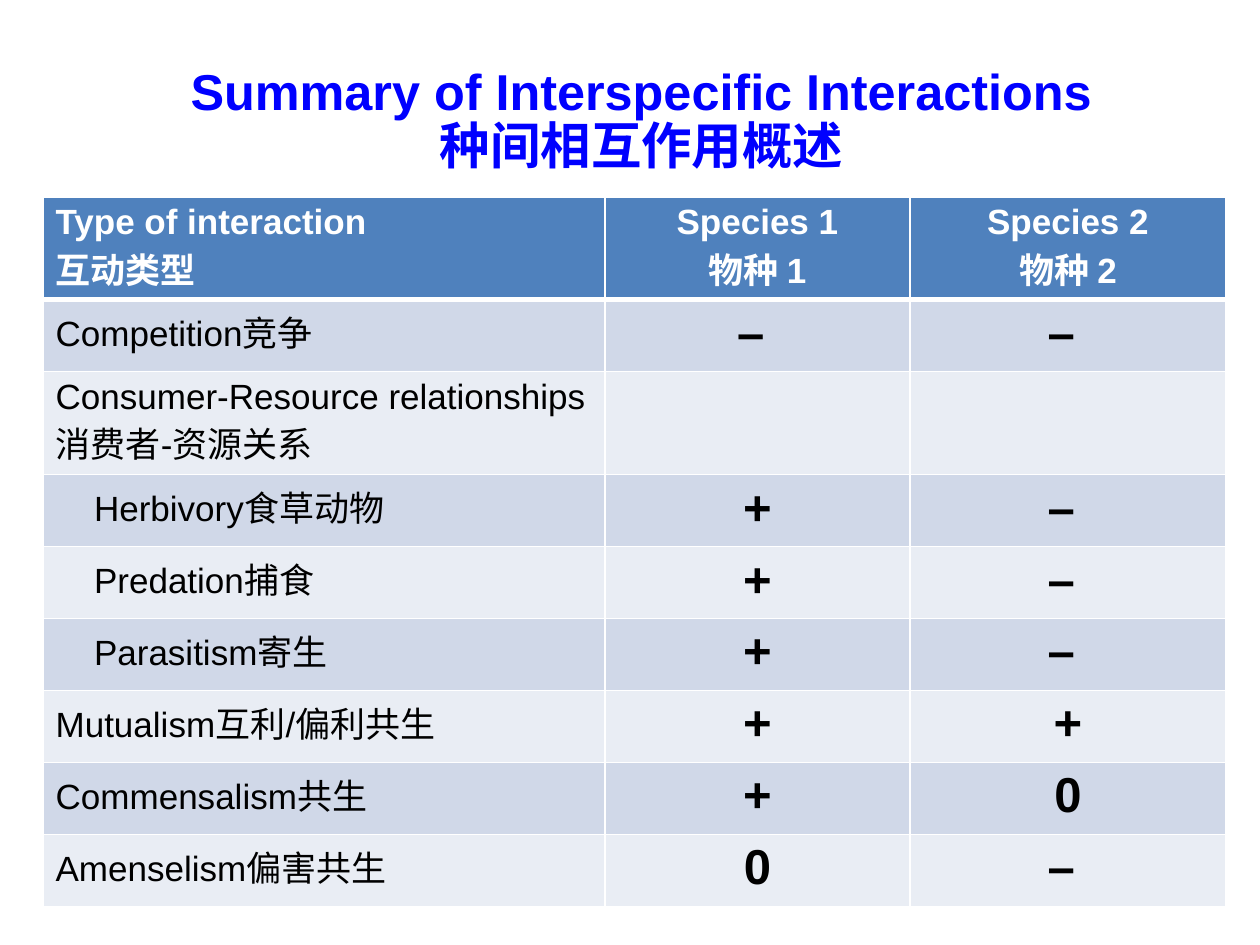
import pptx
import pptx.dml.color
import pptx.enum.text
import pptx.oxml
import pptx.oxml.ns
import pptx.util

PX = 914400 / 126
BLUE = pptx.dml.color.RGBColor(0x00, 0x00, 0xFF)
HEADER_FILL = pptx.dml.color.RGBColor(0x4F, 0x81, 0xBD)
BAND_FILLS = [pptx.dml.color.RGBColor(0xE9, 0xED, 0xF4),
              pptx.dml.color.RGBColor(0xD0, 0xD8, 0xE8)]
WHITE = pptx.dml.color.RGBColor(0xFF, 0xFF, 0xFF)
BLACK = pptx.dml.color.RGBColor(0x00, 0x00, 0x00)
CENTER = pptx.enum.text.PP_ALIGN.CENTER

# Each cell holds a list of lines
INTERACTIONS = [
    [["Type of interaction", "互动类型"], ["Species 1", "物种 1"], ["Species 2", "物种 2"]],
    [["Competition竞争"], ["– "], ["– "]],
    [["Consumer-Resource relationships", "消费者-资源关系"], [], []],
    [["Herbivory食草动物"], ["+"], ["– "]],
    [["Predation捕食"], ["+"], ["– "]],
    [["Parasitism寄生"], ["+"], ["– "]],
    [["Mutualism互利/偏利共生"], ["+"], ["+"]],
    [["Commensalism共生"], ["+"], ["0"]],
    [["Amenselism偏害共生"], ["0"], ["– "]],
]
SUBTYPE_ROWS = (3, 4, 5)
COLUMN_WIDTHS = [562, 305, 316]
ROW_HEIGHTS = [97, 72, 103] + [72] * 6


def px(length):
    return pptx.util.Emu(round(length * PX))


def add_borders(cell, top, bottom):
    """White cell borders, 1 pt at the sides; top and bottom in points."""
    properties = cell._tc.get_or_add_tcPr()
    for index, (side, points) in enumerate(
            [("L", 1), ("R", 1), ("T", top), ("B", bottom)]):
        properties.insert(index, pptx.oxml.parse_xml(
            f'<a:ln{side} {pptx.oxml.ns.nsdecls("a")} w="{points * 12700}">'
            f'<a:solidFill><a:srgbClr val="{WHITE}"/></a:solidFill></a:ln{side}>'))


presentation = pptx.Presentation()
presentation.slide_width = px(1260)
presentation.slide_height = px(945)
slide = presentation.slides.add_slide(presentation.slide_layouts[5])

title = slide.shapes.title
title.left, title.top, title.width, title.height = px(77), px(62), px(1129), px(118)
title_frame = title.text_frame
title_frame.word_wrap = True
title_frame.auto_size = pptx.enum.text.MSO_AUTO_SIZE.NONE
title_frame.vertical_anchor = pptx.enum.text.MSO_ANCHOR.MIDDLE
title_frame.margin_left = title_frame.margin_right = px(9)
title_frame.margin_top = title_frame.margin_bottom = px(5)
heading = title_frame.paragraphs[0]
heading.alignment = CENTER
heading.line_spacing = 0.9
for number, line in enumerate(["Summary of Interspecific Interactions", "种间相互作用概述"]):
    if number:
        heading.add_line_break()
    run = heading.add_run()
    run.text = line
    run.font.name = "Arial"
    run.font.size = pptx.util.Pt(28.8)
    run.font.bold = True
    run.font.color.rgb = BLUE

summary = slide.shapes.add_table(
    len(ROW_HEIGHTS), len(COLUMN_WIDTHS), px(43), px(197),
    px(sum(COLUMN_WIDTHS)), px(sum(ROW_HEIGHTS))).table
for column, width in zip(summary.columns, COLUMN_WIDTHS):
    column.width = px(width)
for row, height in zip(summary.rows, ROW_HEIGHTS):
    row.height = px(height)

for r, interaction in enumerate(INTERACTIONS):
    is_header = r == 0
    for c, lines in enumerate(interaction):
        cell = summary.cell(r, c)
        cell.fill.solid()
        cell.fill.fore_color.rgb = HEADER_FILL if is_header else BAND_FILLS[r % 2]
        add_borders(cell, 3 if r == 1 else 1, 3 if is_header else 1)
        if c == 0 and r in SUBTYPE_ROWS:
            cell.margin_left = px(51)
        is_effect = c > 0 and not is_header
        for number, line in enumerate(lines):
            frame = cell.text_frame
            paragraph = frame.add_paragraph() if number else frame.paragraphs[0]
            if c > 0:
                paragraph.alignment = CENTER
            run = paragraph.add_run()
            run.text = line
            run.font.name = "Arial"
            run.font.size = pptx.util.Pt(28 if is_effect else 20)
            run.font.bold = is_header or is_effect
            run.font.color.rgb = WHITE if is_header else BLACK

presentation.save("out.pptx")
